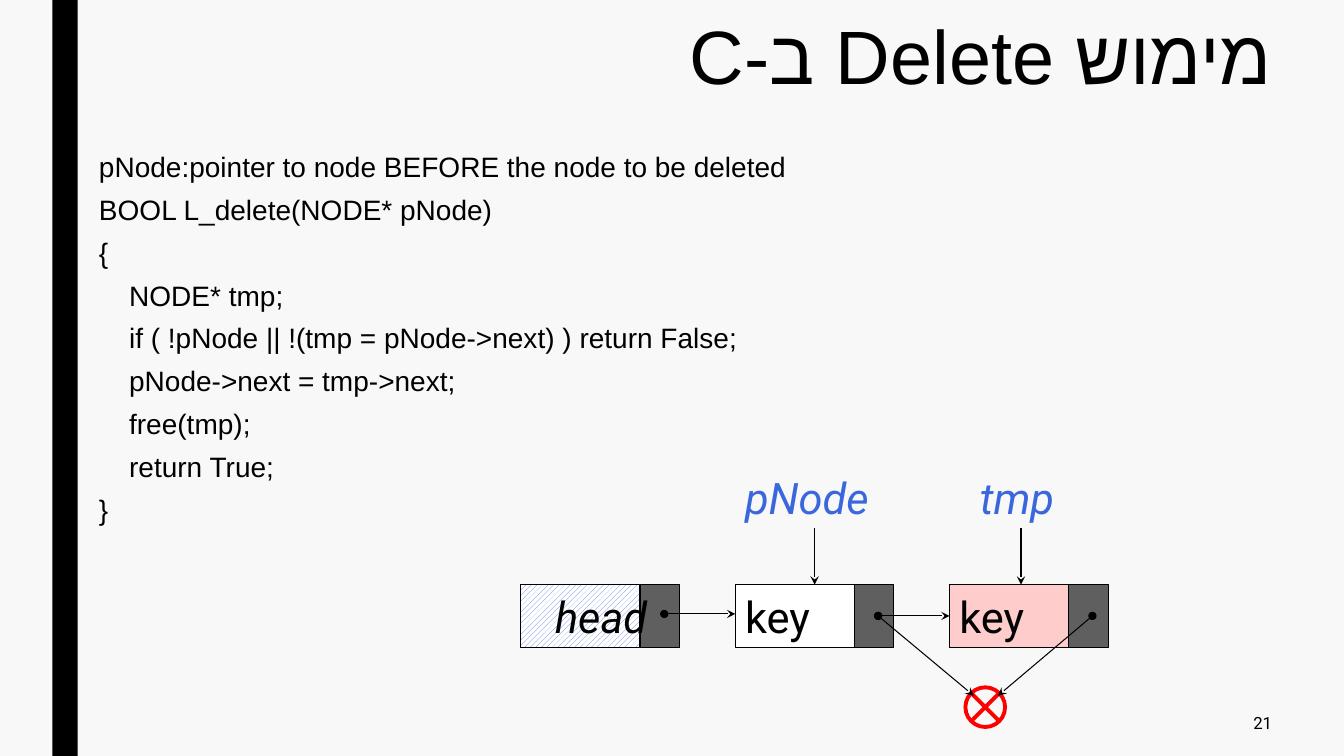
import lxml.etree
import pptx
import pptx.dml.color
import pptx.enum.dml
import pptx.enum.shapes
import pptx.enum.text
import pptx.oxml.ns
import pptx.util

Cm = pptx.util.Cm
Pt = pptx.util.Pt
SHAPE = pptx.enum.shapes.MSO_SHAPE
ALIGN = pptx.enum.text.PP_ALIGN
ANCHOR = pptx.enum.text.MSO_ANCHOR

CODE = """pNode:pointer to node BEFORE the node to be deleted
BOOL L_delete(NODE* pNode)
{
\tNODE* tmp;
\tif ( !pNode || !(tmp = pNode->next) ) return False;
\tpNode->next = tmp->next;
\tfree(tmp);
\treturn True;
}"""


def color(value):
    return pptx.dml.color.RGBColor.from_string(value)


def add_element(parent, tag, **attributes):
    return lxml.etree.SubElement(parent, pptx.oxml.ns.qn(tag), attributes)


class ListSlide:
    heading_font = "Arial"
    label_font = "Roboto"
    ink = "000000"
    accent = "3A68DC"
    link_fill = "5F5F5F"
    node_top = 14.73
    node_height = 1.6
    key_width = 3
    link_width = 1

    def __init__(self, deck):
        self.page = deck.slides.add_slide(deck.slide_layouts[1])
        self.page.background.fill.solid()
        self.page.background.fill.fore_color.rgb = color("F8F8F8")

    def place(self, box, left, top, width, height):
        box.left, box.top = Cm(left), Cm(top)
        box.width, box.height = Cm(width), Cm(height)

    def style(self, para, font, size, fill, italic=False):
        for span in para.runs:
            span.font.name = font
            span.font.size = Pt(size)
            span.font.italic = italic
            span.font.color.rgb = color(fill)
            add_element(span.font._element, "a:cs", typeface=font)

    def title(self, text, *area):
        box = self.page.shapes.title
        self.place(box, *area)
        frame = box.text_frame
        frame.text = text
        frame.vertical_anchor = ANCHOR.TOP
        frame.auto_size = pptx.enum.text.MSO_AUTO_SIZE.NONE
        para = frame.paragraphs[0]
        para.alignment = ALIGN.RIGHT
        para.line_spacing = 0.89
        para._p.get_or_add_pPr().set("rtl", "1")
        self.style(para, self.heading_font, 54, self.ink)

    def code(self, text, *area):
        box = self.page.placeholders[1]
        self.place(box, *area)
        frame = box.text_frame
        frame.text = text
        frame.auto_size = pptx.enum.text.MSO_AUTO_SIZE.NONE
        for index, para in enumerate(frame.paragraphs):
            properties = para._p.get_or_add_pPr()
            properties.set("marL", str(Cm(0.76)))
            properties.set("indent", str(-Cm(0.76)))
            add_element(properties, "a:buNone")
            para.line_spacing = 0.94
            para.space_before = Pt(6 if index else 0)
            para.space_after = Pt(2)
            self.style(para, self.heading_font, 20, self.ink)

    def label(self, text, left, top, width, height=1.57, size=31, fill=ink,
              italic=False, align=ALIGN.LEFT, anchor=ANCHOR.BOTTOM):
        box = self.page.shapes.add_textbox(Cm(left), Cm(top), Cm(width), Cm(height))
        frame = box.text_frame
        frame.word_wrap = True
        frame.vertical_anchor = anchor
        frame.text = text
        frame.paragraphs[0].alignment = align
        self.style(frame.paragraphs[0], self.label_font, size, fill, italic)

    def shape(self, kind, left, top, width, height, fill=None, line=None, weight=0.75):
        box = self.page.shapes.add_shape(kind, Cm(left), Cm(top), Cm(width), Cm(height))
        box.shadow.inherit = False
        if fill:
            box.fill.solid()
            box.fill.fore_color.rgb = color(fill)
        else:
            box.fill.background()
        if line:
            box.line.color.rgb = color(line)
            box.line.width = Pt(weight)
        else:
            box.line.fill.background()
        return box

    def node(self, left, fill):
        key = self.shape(SHAPE.RECTANGLE, left, self.node_top, self.key_width,
                         self.node_height, fill, self.ink)
        self.shape(SHAPE.RECTANGLE, left + self.key_width, self.node_top,
                   self.link_width, self.node_height, self.link_fill, self.ink)
        return key

    def hatch(self, box):
        box.fill.patterned()
        box.fill.pattern = pptx.enum.dml.MSO_PATTERN.WIDE_UPWARD_DIAGONAL
        box.fill.fore_color.rgb = color("557DE1")
        box.fill.back_color.rgb = color("FFFFFF")

    def arrow(self, start, end, dot=True):
        arrow = self.page.shapes.add_connector(
            pptx.enum.shapes.MSO_CONNECTOR.STRAIGHT, *map(Cm, start + end))
        arrow.line.color.rgb = color(self.ink)
        arrow.line.width = Pt(0.75)
        line = arrow.line._get_or_add_ln()
        if dot:
            add_element(line, "a:headEnd", type="oval")
        add_element(line, "a:tailEnd", type="stealth")
        add_element(arrow._element.spPr, "a:effectLst")


def main():
    deck = pptx.Presentation()
    deck.slide_width, deck.slide_height = Cm(33.87), Cm(19.05)
    slide = ListSlide(deck)
    slide.shape(SHAPE.RECTANGLE, 1.32, 0, 0.64, 19.05, slide.ink)
    slide.label("21", 27.86, 17.65, 4.45, 1.12, size=12,
                align=ALIGN.RIGHT, anchor=ANCHOR.MIDDLE)
    slide.title("מימוש Delete ב-C", 3.81, 0.38, 28.5, 2.87)
    slide.code(CODE, 2.24, 3.71, 30.78, 11.38)

    head, before, deleted = [13.13 + 5.4 * index for index in range(3)]
    slide.hatch(slide.node(head, "FFFFFF"))
    slide.label("head", 13.74, slide.node_top, 3.2, italic=True)
    for left, fill in ((before, "FFFFFF"), (deleted, "FFCCCC")):
        slide.node(left, fill)
        slide.label("key", left, slide.node_top, slide.key_width)

    for name, left, width, tip in (("pNode", 18.14, 4.39, 20.53),
                                   ("tmp", 23.93, 3.4, 25.73)):
        slide.label(name, left, 11.73, width, fill=slide.accent,
                    italic=True, align=ALIGN.CENTER)
        slide.arrow((tip, 13.31), (tip, slide.node_top), dot=False)

    slide.shape(SHAPE.FLOWCHART_SUMMING_JUNCTION, 24.33, 17.32, 1, 1,
                line="FF0000", weight=2.75)
    slide.arrow((16.74, 15.47), (before, 15.47))
    slide.arrow((22.13, 15.52), (deleted, 15.52))
    slide.arrow((22.13, 15.52), (24.54, 17.53))
    slide.arrow((27.53, 15.52), (25.15, 17.53))
    deck.save("out.pptx")


if __name__ == "__main__":
    main()
